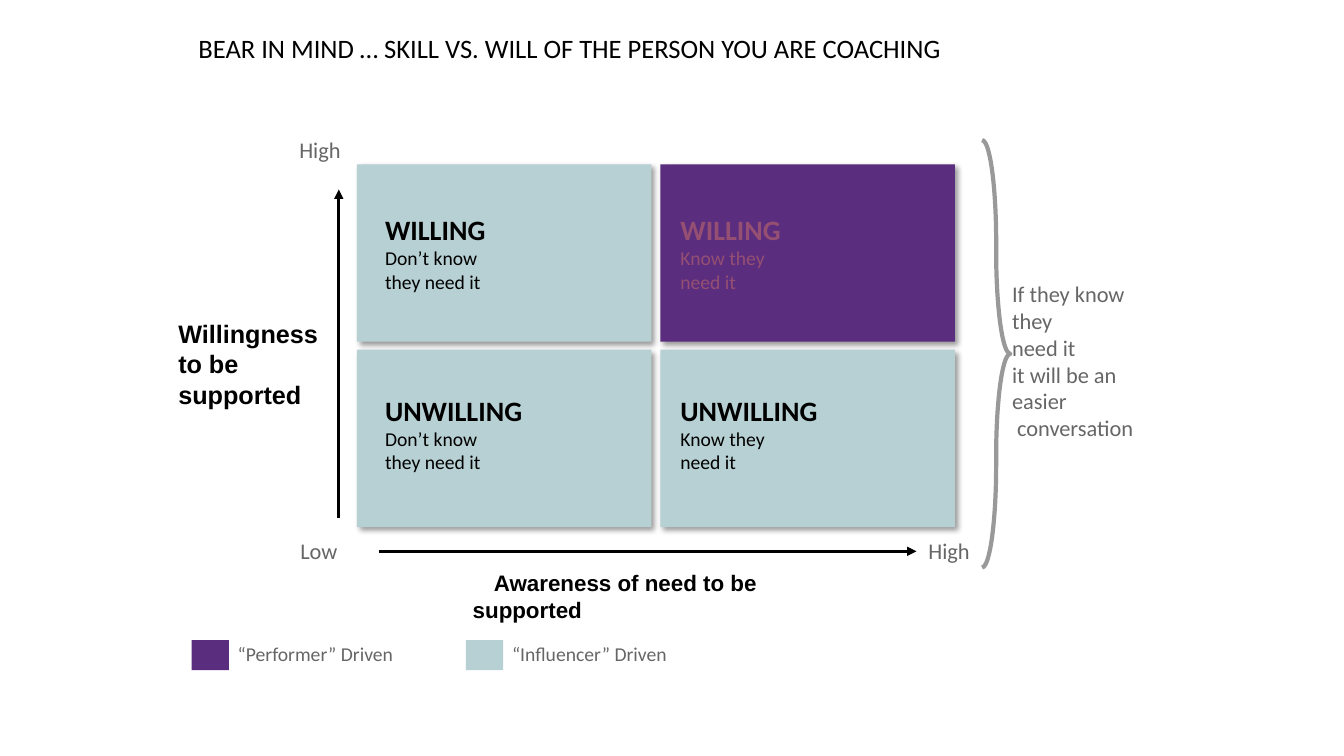
from dataclasses import dataclass

from lxml import etree
from pptx import Presentation
from pptx import util as u
from pptx.dml.color import RGBColor
from pptx.enum import shapes, text
from pptx.oxml import ns

EMU_PER_PX = 9144
COLORS = {
    "performer": "5A2D7F",
    "influencer": "B7D0D3",
    "ink": "000000",
    "muted": "666666",
    "faded": "954F72",
    "brace": "999999",
}


@dataclass(frozen=True)
class Line:
    words: str
    size: int
    bold: bool = False
    indent: int = 0
    spacing: float = 1.0


@dataclass(frozen=True)
class Label:
    left: int
    top: int
    width: int
    height: int
    lines: tuple[Line, ...]
    color: str = "muted"
    font: str = "Calibri"
    anchor: text.MSO_ANCHOR = text.MSO_ANCHOR.TOP


@dataclass(frozen=True)
class Quadrant:
    column: int
    row: int
    heading: str
    details: tuple[str, str]
    fill: str = "influencer"
    color: str = "ink"


@dataclass(frozen=True)
class Arrow:
    start: tuple[int, int]
    end: tuple[int, int]


@dataclass(frozen=True)
class LegendEntry:
    left: int
    width: int
    words: str
    fill: str


UNAWARE = ("Don’t know", "they need it")
AWARE = ("Know they", "need it")
QUADRANTS = (
    Quadrant(1, 0, "WILLING", AWARE, "performer", "faded"),
    Quadrant(0, 0, "WILLING", UNAWARE),
    Quadrant(0, 1, "UNWILLING", UNAWARE),
    Quadrant(1, 1, "UNWILLING", AWARE),
)
ARROWS = (Arrow((376, 547), (909, 547)), Arrow((336, 514), (336, 188)))
LEGEND = (
    LegendEntry(190, 213, "“Performer” Driven", "performer"),
    LegendEntry(462, 199, "“Influencer” Driven", "influencer"),
)
LABELS = (
    Label(187, 15, 980, 70,
          (Line("BEAR IN MIND … SKILL VS. WILL OF THE PERSON YOU ARE COACHING", 19, spacing=0.9),),
          "ink", anchor=text.MSO_ANCHOR.MIDDLE),
    Label(459, 560, 410, 67,
          (Line("Awareness of need to be supported", 16, True, indent=21),), "ink", "Arial"),
    Label(167, 311, 160, 100,
          (Line("Willingness", 18, True), Line("to be supported", 18, True)), "ink", "Arial"),
    Label(288, 528, 91, 37, (Line("Low", 16),)),
    Label(911, 528, 73, 37, (Line("High", 16),)),
    Label(287, 130, 99, 37, (Line("High", 16),)),
    Label(994, 273, 153, 172,
          (Line("If they know they", 16), Line("need it", 16),
           Line("it will be an easier", 16), Line("conversation", 16, indent=5))),
)


def px(length: int) -> u.Emu:
    return u.Emu(length * EMU_PER_PX)


def rgb(name: str) -> RGBColor:
    return RGBColor.from_string(COLORS[name])


def add_panel(page, left: int, top: int, width: int, height: int, fill: str):
    panel = page.shapes.add_shape(
        shapes.MSO_SHAPE.RECTANGLE, px(left), px(top), px(width), px(height))
    panel.shadow.inherit = False
    panel.fill.solid()
    panel.fill.fore_color.rgb = rgb(fill)
    panel.line.fill.background()
    return panel


def add_drop_shadow(panel) -> None:
    effects = panel._element.spPr.find(ns.qn("a:effectLst"))
    shadow = etree.SubElement(
        effects, ns.qn("a:outerShdw"), blurRad=str(u.Pt(4)), dist=str(u.Pt(3)),
        dir="2700000", algn="tl", rotWithShape="0")
    color = etree.SubElement(shadow, ns.qn("a:srgbClr"), val=COLORS["ink"])
    etree.SubElement(color, ns.qn("a:alpha"), val="40000")


def add_label(page, label: Label) -> None:
    box = page.shapes.add_textbox(
        px(label.left), px(label.top), px(label.width), px(label.height))
    frame = box.text_frame
    frame.word_wrap = True
    frame.vertical_anchor = label.anchor
    for index, line in enumerate(label.lines):
        para = frame.add_paragraph() if index else frame.paragraphs[0]
        para.text = line.words
        para.line_spacing = line.spacing
        if line.indent:
            para._p.get_or_add_pPr().set("indent", str(px(line.indent)))
        para.font.name = label.font
        para.font.size = u.Pt(line.size)
        para.font.bold = line.bold
        para.font.color.rgb = rgb(label.color)


def add_quadrant(page, quadrant: Quadrant) -> None:
    panel = add_panel(page, 354 + 301 * quadrant.column, 163 + 184 * quadrant.row,
                      292, 176, quadrant.fill)
    add_drop_shadow(panel)
    lines = (Line(quadrant.heading, 20, True),
             *(Line(detail, 14) for detail in quadrant.details))
    add_label(page, Label(372 + 293 * quadrant.column, 206 + 179 * quadrant.row,
                          268, 91, lines, quadrant.color))


def add_arrow(page, arrow: Arrow) -> None:
    connector = page.shapes.add_connector(
        shapes.MSO_CONNECTOR.STRAIGHT, *map(px, arrow.start + arrow.end))
    connector.line.color.rgb = rgb("ink")
    connector.line.width = u.Pt(2.25)
    properties = connector._element.spPr
    etree.SubElement(properties.find(ns.qn("a:ln")), ns.qn("a:tailEnd"), type="triangle")
    etree.SubElement(properties, ns.qn("a:effectLst"))


def add_legend_entry(page, entry: LegendEntry) -> None:
    add_panel(page, entry.left, 635, 37, 30, entry.fill)
    add_label(page, Label(entry.left + 36, 632, entry.width, 34, (Line(entry.words, 14),)))


def add_brace(page) -> None:
    brace = page.shapes.add_shape(
        shapes.MSO_SHAPE.RIGHT_BRACE, px(974), px(139), px(28), px(424))
    brace.shadow.inherit = False
    brace.adjustments[0] = 3.63
    brace.adjustments[1] = 0.5
    brace.fill.background()
    brace.line.color.rgb = rgb("brace")
    brace.line.width = u.Pt(3)


def main() -> None:
    deck = Presentation()
    deck.slide_width, deck.slide_height = px(1333), px(750)
    page = deck.slides.add_slide(deck.slide_layouts[6])
    for quadrant in QUADRANTS:
        add_quadrant(page, quadrant)
    for arrow in ARROWS:
        add_arrow(page, arrow)
    for entry in LEGEND:
        add_legend_entry(page, entry)
    add_brace(page)
    for label in LABELS:
        add_label(page, label)
    deck.save("out.pptx")


if __name__ == "__main__":
    main()
